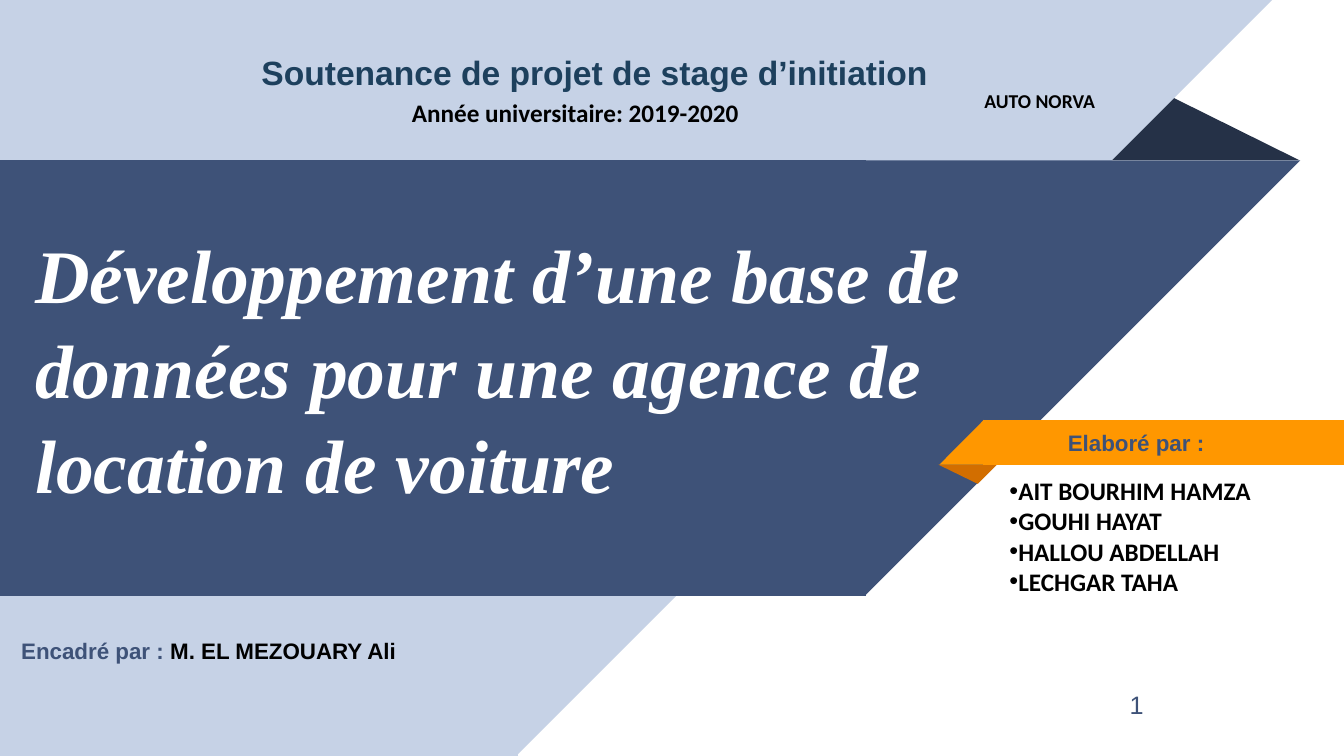
from dataclasses import dataclass

from lxml import etree
from pptx import Presentation
from pptx import util as u
from pptx.dml.color import RGBColor
from pptx.enum import text
from pptx.oxml.ns import qn
from pptx.shapes.base import BaseShape
from pptx.slide import Slide

COLUMNS, ROWS = 160, 90
SLIDE_WIDTH, SLIDE_HEIGHT = u.Inches(40 / 3), u.Inches(7.5)

NIGHT = RGBColor(0x25, 0x31, 0x47)
MIST = RGBColor(0xC6, 0xD2, 0xE6)
NAVY = RGBColor(0x3E, 0x52, 0x78)
RUST = RGBColor(0xD2, 0x6E, 0x00)
ORANGE = RGBColor(0xFF, 0x97, 0x00)
PETROL = RGBColor(0x1D, 0x40, 0x5D)
WHITE = RGBColor(0xFF, 0xFF, 0xFF)
BLACK = RGBColor(0x00, 0x00, 0x00)

BAND_TOP, BAND_BOTTOM = 19.08, 70.92
RIBBON_TOP, RIBBON_BOTTOM = 50, 55.32

Point = tuple[float, float]


@dataclass(frozen=True)
class Panel:
    color: RGBColor
    corners: tuple[Point, ...]


@dataclass(frozen=True)
class Span:
    words: str
    color: RGBColor


@dataclass(frozen=True)
class Caption:
    box: tuple[float, float, float, float]
    paragraphs: tuple[tuple[Span, ...], ...]
    size: float
    font: str
    bold: bool = True
    italic: bool = False
    insets: tuple[float, float, float, float] = (0.1, 0.05, 0.1, 0.05)
    align: text.PP_ALIGN = text.PP_ALIGN.LEFT
    line_spacing: float | u.Length = 1.0
    space_after: float = 0
    indent: float = 0
    bullet: str = ""


def block(color: RGBColor, left: float, top: float, right: float, bottom: float) -> Panel:
    return Panel(color, ((left, bottom), (right, bottom), (right, top), (left, top)))


PANELS = (
    Panel(NIGHT, ((139.44, 11.52), (132, BAND_TOP), (154.68, BAND_TOP))),
    block(MIST, 0, 0, 61.68, BAND_TOP),
    block(MIST, 0, BAND_BOTTOM, 61.68, ROWS),
    Panel(MIST, ((151.44, 0), (61.56, 0), (61.56, 89.88))),
    block(NAVY, 0, BAND_TOP, 103.08, BAND_BOTTOM),
    Panel(NAVY, ((154.8, BAND_TOP), (102.96, BAND_TOP), (102.96, BAND_BOTTOM))),
    Panel(RUST, ((118.68, RIBBON_BOTTOM), (111.72, RIBBON_BOTTOM), (116.4, 57.6))),
    block(ORANGE, 117, RIBBON_TOP, COLUMNS, RIBBON_BOTTOM),
    Panel(ORANGE, ((117.12, RIBBON_TOP), (111.84, RIBBON_BOTTOM), (117.12, RIBBON_BOTTOM))),
)

HEADING = Caption(
    (31, 6, 83, 5), ((Span("Soutenance de projet de stage d’initiation", PETROL),),),
    24, "Arial", insets=(0, 0.01, 0, 0), indent=0.01,
)
STUDENTS = ("AIT BOURHIM HAMZA", "GOUHI HAYAT", "HALLOU ABDELLAH", "LECHGAR TAHA")
CAPTIONS = (
    Caption((127, 51, 21, 3.4), ((Span("Elaboré par :", NAVY),),),
            16, "Arial", insets=(0, 0.01, 0, 0), indent=0.01),
    Caption((2.4, 74.6, 57, 4.4),
            ((Span("Encadré par : ", NAVY), Span("M. EL MEZOUARY Ali", BLACK)),),
            16, "Arial", insets=(0, 0.1, 0, 0), indent=0.01),
    Caption((3, 26, 137, 43),
            ((Span("Développement d’une base de données pour une agence de "
                   "location de voiture", WHITE),),),
            54, "Times New Roman", italic=True, line_spacing=1.05, space_after=10),
    Caption((116, 10, 17, 4), ((Span("AUTO NORVA", BLACK),),), 14, "Calibri"),
    Caption((119, 56, 38, 16), tuple((Span(name, BLACK),) for name in STUDENTS),
            18, "Calibri", bullet="•"),
    Caption((43, 11, 51, 5), ((Span("Année universitaire: 2019-2020", BLACK),),),
            18, "Calibri", align=text.PP_ALIGN.CENTER, space_after=10),
    Caption((134, 82.2, 4.4, 3.8), ((Span("1", NAVY),),), 18, "Arial", bold=False,
            insets=(0, 0, 0, 0), line_spacing=u.Pt(20.9), indent=0.04),
)


def across(columns: float) -> int:
    return round(SLIDE_WIDTH * columns / COLUMNS)


def down(rows: float) -> int:
    return round(SLIDE_HEIGHT * rows / ROWS)


def draw_panel(slide: Slide, panel: Panel) -> None:
    start, *others = [(across(x), down(y)) for x, y in panel.corners]
    builder = slide.shapes.build_freeform(*start)
    builder.add_line_segments(others, close=True)
    outline = builder.convert_to_shape()
    outline.shadow.inherit = False
    outline.fill.solid()
    outline.fill.fore_color.rgb = panel.color
    outline.line.fill.background()


def write_caption(holder: BaseShape, caption: Caption) -> None:
    left, top, width, height = caption.box
    holder.left, holder.top = across(left), down(top)
    holder.width, holder.height = across(width), down(height)
    frame = holder.text_frame
    frame.word_wrap = True
    frame.auto_size = text.MSO_AUTO_SIZE.NONE
    frame.vertical_anchor = text.MSO_ANCHOR.TOP
    frame.margin_left, frame.margin_top, frame.margin_right, frame.margin_bottom = (
        u.Inches(inset) for inset in caption.insets
    )
    frame.text = "\n".join("" for _ in caption.paragraphs)
    for paragraph, spans in zip(frame.paragraphs, caption.paragraphs):
        paragraph.alignment = caption.align
        paragraph.line_spacing = caption.line_spacing
        paragraph.space_before = u.Pt(0)
        paragraph.space_after = u.Pt(caption.space_after)
        properties = paragraph._p.get_or_add_pPr()
        properties.set("marL", str(u.Inches(caption.indent)))
        properties.set("indent", "0")
        if caption.bullet:
            etree.SubElement(properties, qn("a:buFont")).set("typeface", "Arial")
            etree.SubElement(properties, qn("a:buChar")).set("char", caption.bullet)
        for span in spans:
            run = paragraph.add_run()
            run.text = span.words
            run.font.name = caption.font
            run.font.size = u.Pt(caption.size)
            run.font.bold = caption.bold
            run.font.italic = caption.italic
            run.font.color.rgb = span.color


def main() -> None:
    deck = Presentation()
    deck.slide_width, deck.slide_height = SLIDE_WIDTH, SLIDE_HEIGHT
    cover = deck.slides.add_slide(deck.slide_layouts[5])
    for panel in PANELS:
        draw_panel(cover, panel)
    heading = cover.shapes.title
    cover.shapes.element.append(heading.element)
    write_caption(heading, HEADING)
    for caption in CAPTIONS:
        write_caption(cover.shapes.add_textbox(0, 0, 0, 0), caption)
    deck.save("out.pptx")


if __name__ == "__main__":
    main()
